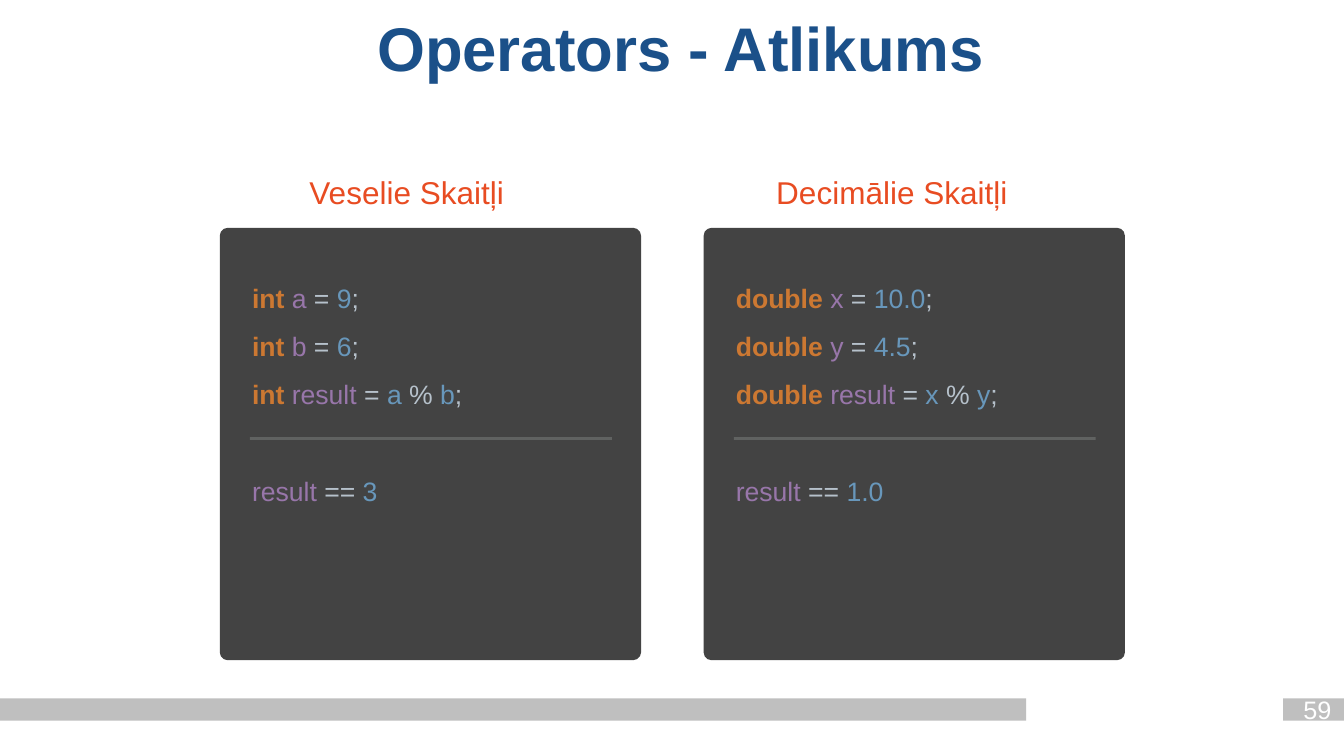
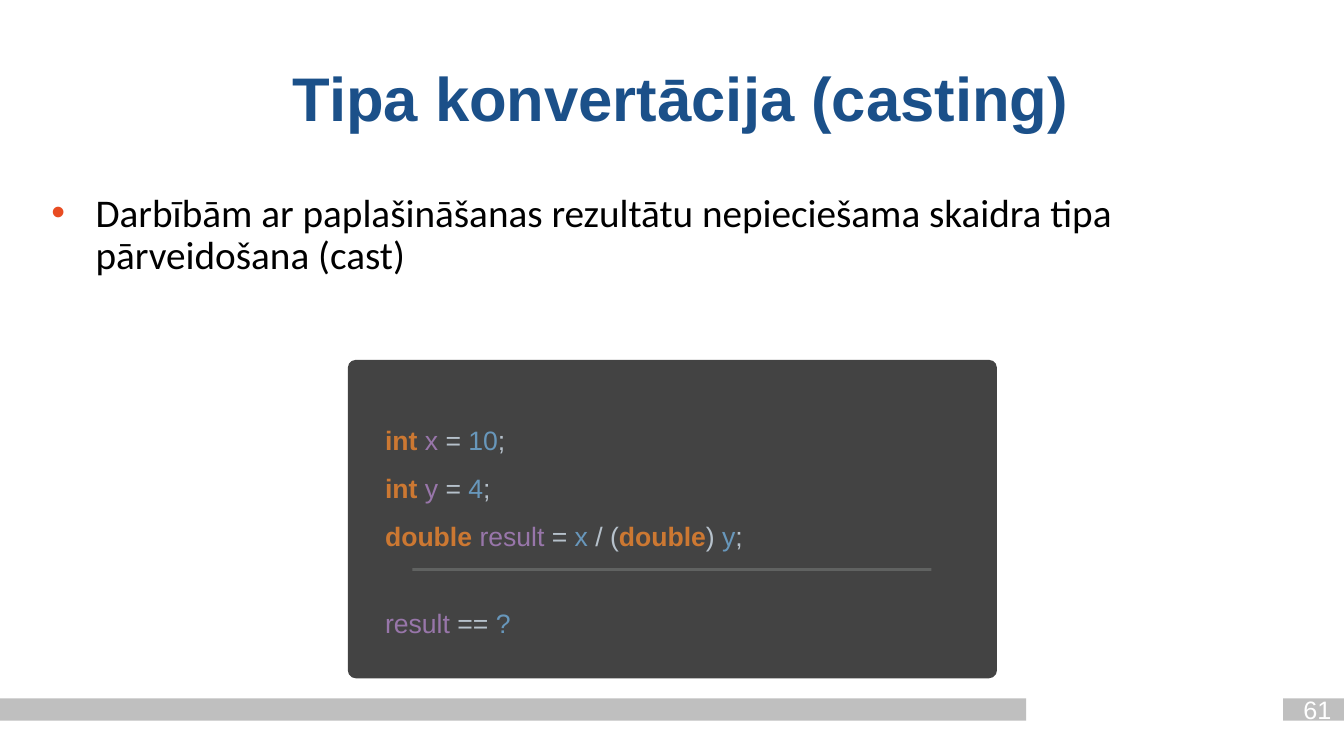
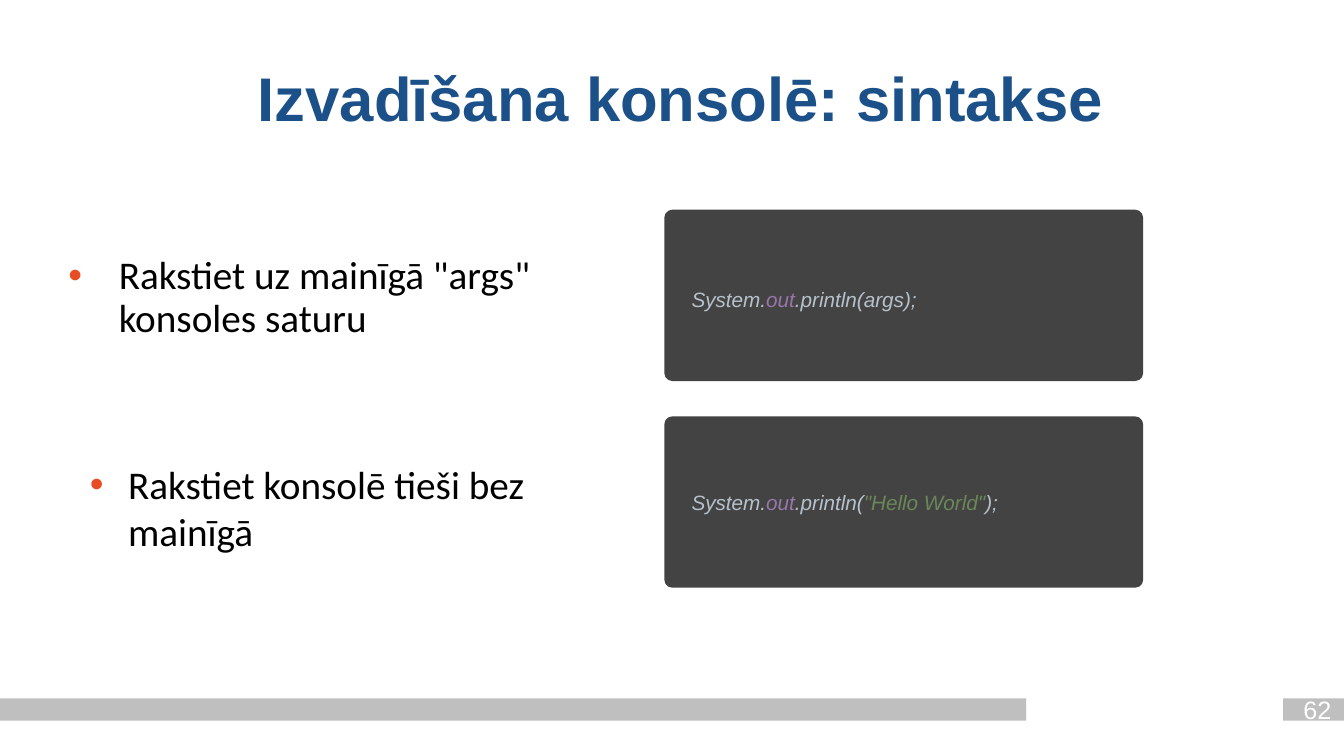
import dataclasses

import lxml.etree
import pptx
import pptx.dml.color
import pptx.enum.shapes
import pptx.enum.text
import pptx.oxml.ns
import pptx.util

COLORS = {
    "title": "1B5089",
    "accent": "E84C22",
    "body": "000000",
    "band": "BFBFBF",
    "number": "FFFFFF",
    "panel": "434343",
    "rule": "A6AAA9",
    "keyword": "CC7832",
    "name": "9876AA",
    "plain": "B6C1CB",
    "value": "6897BB",
    "string": "6A8759",
}
HEADING_FONT = "Arial"
BODY_FONT = "Calibri"
CORNER = 0.08
WIDE_INSETS = (0.1, 0.05)
TIGHT_INSETS = (0.04, 0.04)

TOP_TITLE = (2.63, 1.07, 96.08, 11.6)
LOW_TITLE = (2.63, 7.6, 96.08, 11.6)
TALL_LAYOUT = {
    "code": (6.7, 7.69, 87.08, 35.43),
    "rule": (7.18, 48.72, 85.88, 0),
    "result": (6.7, 52.45, 87.08, 13.05),
}
WIDE_LAYOUT = {
    "code": (5.12, 13.61, 89.75, 48.1),
    "rule": (9.94, 65.82, 79.97, 0),
    "result": (5.12, 71.2, 89.75, 17.72),
}

ALIGN = pptx.enum.text.PP_ALIGN
ANCHOR = pptx.enum.text.MSO_ANCHOR
SHAPES = pptx.enum.shapes.MSO_SHAPE


@dataclasses.dataclass
class Box:
    """A rectangle in inches."""

    left: float
    top: float
    width: float
    height: float

    def area(self, left, top, width, height):
        """Return the inner box given in percent of this one."""
        return Box(
            self.left + self.width * left / 100,
            self.top + self.height * top / 100,
            self.width * width / 100,
            self.height * height / 100,
        )

    def frame(self):
        """Return the four lengths that a new shape takes."""
        return [pptx.util.Inches(n) for n in dataclasses.astuple(self)]


PAGE = Box(0, 0, 13.33, 7.5)


def rgb(color):
    """Look up a named colour."""
    return pptx.dml.color.RGBColor.from_string(COLORS[color])


def add_block(slide, box, color, preset=SHAPES.RECTANGLE):
    """Draw a plain filled shape."""
    block = slide.shapes.add_shape(preset, *box.frame())
    block.shadow.inherit = False
    block.fill.solid()
    block.fill.fore_color.rgb = rgb(color)
    block.line.fill.background()
    return block


def add_text(slide, box, lines, size, font=HEADING_FONT, insets=TIGHT_INSETS,
             anchor=ANCHOR.MIDDLE, align=ALIGN.LEFT, spacing=1.0,
             bold=False, italic=False, grow=False):
    """Write lines of (colour, words) pieces and return the paragraphs."""
    frame = slide.shapes.add_textbox(*box.frame()).text_frame
    frame.word_wrap = True
    frame.vertical_anchor = anchor
    frame.margin_left = frame.margin_right = pptx.util.Inches(insets[0])
    frame.margin_top = frame.margin_bottom = pptx.util.Inches(insets[1])
    if grow:
        frame.auto_size = pptx.enum.text.MSO_AUTO_SIZE.SHAPE_TO_FIT_TEXT
    for index, line in enumerate(lines):
        paragraph = frame.add_paragraph() if index else frame.paragraphs[0]
        paragraph.alignment = align
        paragraph.line_spacing = spacing
        for color, words in line:
            run = paragraph.add_run()
            run.text = words
            run.font.size = pptx.util.Pt(size)
            run.font.name = font
            run.font.bold = bold or color == "keyword"
            run.font.italic = italic
            run.font.color.rgb = rgb(color)
    return frame.paragraphs


def add_bullet(slide, box, words, margin, hanging, **style):
    """Write one body paragraph with an accent bullet."""
    paragraph = add_text(slide, box, [[("body", words)]], 28, BODY_FONT, **style)[0]
    qn = pptx.oxml.ns.qn
    properties = paragraph._p.get_or_add_pPr()
    properties.set("marL", str(pptx.util.Inches(margin)))
    properties.set("indent", str(-pptx.util.Inches(hanging)))
    bullet_color = lxml.etree.SubElement(properties, qn("a:buClr"))
    lxml.etree.SubElement(bullet_color, qn("a:srgbClr"), val=COLORS["accent"])
    lxml.etree.SubElement(properties, qn("a:buFont"), typeface="Arial")
    lxml.etree.SubElement(properties, qn("a:buChar"), char="•")


def add_rule(slide, box):
    """Draw a faint horizontal line along the top of the box."""
    left, top, width, _ = box.frame()
    rule = slide.shapes.add_connector(
        pptx.enum.shapes.MSO_CONNECTOR.STRAIGHT, left, top, left + width, top)
    rule.line.width = pptx.util.Pt(2)
    rule.line.color.rgb = rgb("rule")
    qn = pptx.oxml.ns.qn
    properties = rule._element.spPr
    line_color = properties.find(".//" + qn("a:srgbClr"))
    lxml.etree.SubElement(line_color, qn("a:alpha"), val="30000")
    lxml.etree.SubElement(properties, qn("a:effectLst"))


def add_panel(slide, box):
    """Draw a dark code panel with the same corner radius at any size."""
    panel = add_block(slide, box, "panel", SHAPES.ROUNDED_RECTANGLE)
    panel.adjustments[0] = CORNER / min(box.width, box.height)


def add_program(slide, box, layout, code, result):
    """Place code, a rule and the resulting value on a panel."""
    add_panel(slide, box)
    add_text(slide, box.area(*layout["code"]), code, 19, spacing=1.5, grow=True)
    add_rule(slide, box.area(*layout["rule"]))
    outcome = [("name", "result"), ("plain", " == "), ("value", result)]
    add_text(slide, box.area(*layout["result"]), [outcome], 19, spacing=1.5, grow=True)


def add_print_call(slide, box, code_top, arguments):
    """Place one console output statement on a panel."""
    add_panel(slide, box)
    call = [("plain", "System."), ("name", "out"), *arguments]
    add_text(slide, box.area(4.84, code_top, 90.32, 19.4), [call], 14.8,
             italic=True, grow=True)


def declare(kind, name, *value):
    """Return the coloured pieces of a variable declaration."""
    return [("keyword", kind + " "), ("name", name), ("plain", " = "),
            *value, ("plain", ";")]


def add_page(deck, title, title_place, number):
    """Add a slide with its bands, page number and title."""
    slide = deck.slides.add_slide(deck.slide_layouts[6])
    add_block(slide, PAGE.area(0, 92.4, 76.35, 2.93), "band")
    add_block(slide, PAGE.area(95.47, 92.4, 4.53, 2.93), "band")
    add_text(slide, PAGE.area(*title_place), [[("title", title)]], 44,
             insets=WIDE_INSETS, align=ALIGN.CENTER, spacing=0.9, bold=True)
    add_text(slide, PAGE.area(96.05, 92.4, 3.95, 2.93), [[("number", number)]], 18,
             insets=(0, 0), align=ALIGN.CENTER)
    return slide


def add_remainder_slide(deck):
    """Compare the remainder of whole and decimal numbers."""
    slide = add_page(deck, "Operators - Atlikums", TOP_TITLE, "59")
    examples = [
        ("Veselie Skaitļi", 20.33, 48.8, "int", ("a", "9"), ("b", "6"), "3"),
        ("Decimālie Skaitļi", 16.27, 60.53, "double", ("x", "10.0"), ("y", "4.5"), "1.0"),
    ]
    for column, example in enumerate(examples):
        heading, left, width, kind, first, second, result = example
        box = PAGE.area(16.35 + 36 * column, 30.13, 31.35, 57.2)
        code = [declare(kind, name, ("value", value)) for name, value in (first, second)]
        code.append(declare(kind, "result", ("value", first[0] + " "),
                            ("plain", "%"), ("value", " " + second[0])))
        add_program(slide, box, TALL_LAYOUT, code, result)
        add_text(slide, box.area(left, -13.75, width, 10.72),
                 [[("accent", heading)]], 22.5, grow=True)


def add_casting_slide(deck):
    """Explain explicit type conversion."""
    slide = add_page(deck, "Tipa konvertācija (casting)", LOW_TITLE, "61")
    add_bullet(
        slide, PAGE.area(2.63, 24.93, 96.08, 28.13),
        "Darbībām ar paplašināšanas rezultātu nepieciešama skaidra tipa pārveidošana (cast)",
        0.5, 0.44, insets=WIDE_INSETS, anchor=ANCHOR.TOP, spacing=0.9)
    code = [
        declare("int", "x", ("value", "10")),
        declare("int", "y", ("value", "4")),
        declare("double", "result", ("value", "x "), ("plain", "/ ("),
                ("keyword", "double"), ("plain", ")"), ("value", " y")),
    ]
    add_program(slide, PAGE.area(25.88, 47.6, 48.3, 42.13), WIDE_LAYOUT, code, "?")


def add_console_slide(deck):
    """Show the two ways to print to the console."""
    slide = add_page(deck, "Izvadīšana konsolē: sintakse", LOW_TITLE, "62")
    add_bullet(slide, PAGE.area(3.9, 28.13, 41.63, 22.67),
               'Rakstiet uz mainīgā "args" konsoles saturu',
               0.56, 0.5, insets=WIDE_INSETS, spacing=0.9)
    add_bullet(slide, PAGE.area(6.38, 55.73, 39.15, 22.67),
               "Rakstiet konsolē tieši bez mainīgā", 0.38, 0.38)
    calls = [
        (27.73, 42.35, [("plain", ".println(args);")]),
        (55.07, 40.59, [("plain", ".println("), ("string", '"Hello World"'),
                        ("plain", ");")]),
    ]
    for top, code_top, arguments in calls:
        add_print_call(slide, PAGE.area(49.43, top, 35.63, 22.67), code_top, arguments)


def main():
    """Build and save the deck."""
    deck = pptx.Presentation()
    deck.slide_width = pptx.util.Inches(PAGE.width)
    deck.slide_height = pptx.util.Inches(PAGE.height)
    add_remainder_slide(deck)
    add_casting_slide(deck)
    add_console_slide(deck)
    deck.save("out.pptx")


if __name__ == "__main__":
    main()
